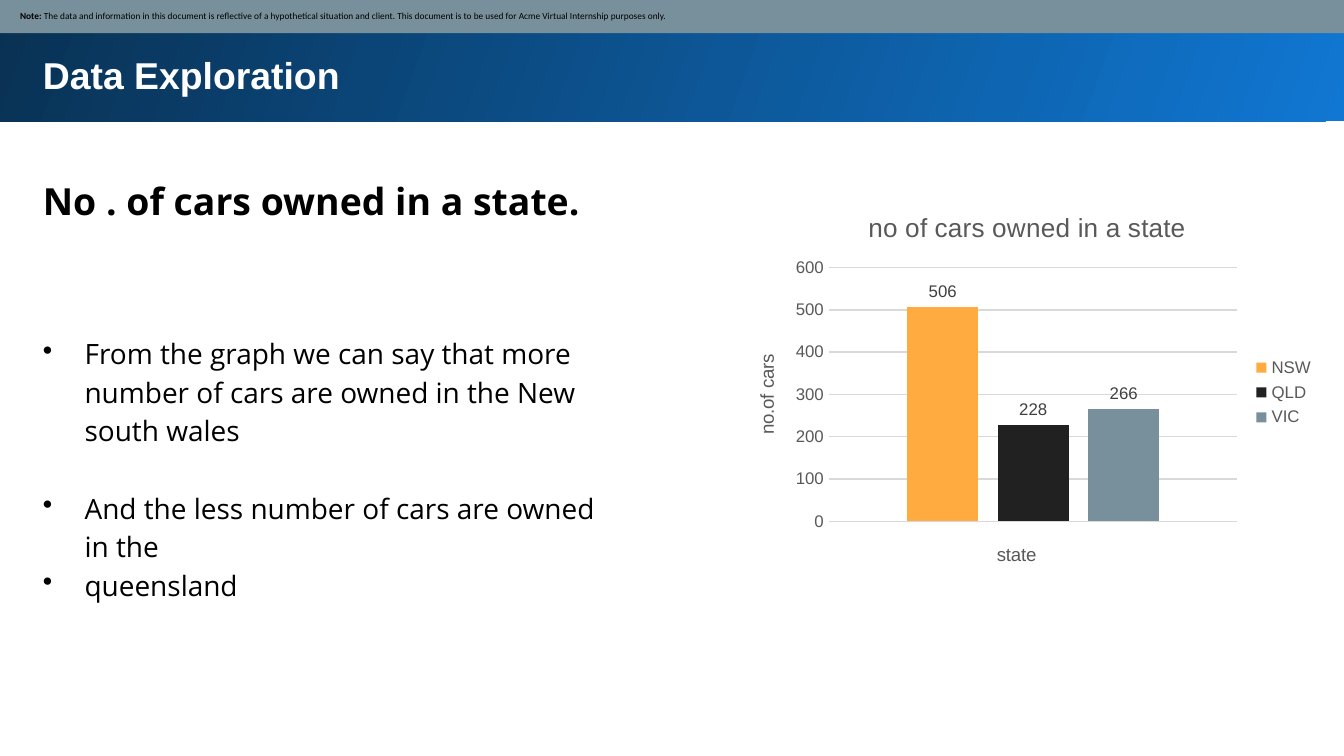
"""Build the data exploration slide with a chart of cars owned per state."""
from lxml import etree
from pptx import Presentation
from pptx.chart.data import CategoryChartData
from pptx.dml.color import RGBColor
from pptx.enum.chart import XL_CHART_TYPE, XL_LABEL_POSITION, XL_LEGEND_POSITION, XL_TICK_MARK
from pptx.enum.shapes import MSO_SHAPE
from pptx.enum.text import MSO_ANCHOR, PP_ALIGN
from pptx.oxml import parse_xml
from pptx.oxml.ns import qn
from pptx.util import Cm, Pt

RECT = MSO_SHAPE.RECTANGLE
COLUMN = XL_CHART_TYPE.COLUMN_CLUSTERED
OUTSIDE = XL_LABEL_POSITION.OUTSIDE_END
RIGHT = XL_LEGEND_POSITION.RIGHT
NO_TICK = XL_TICK_MARK.NONE
TOP, MIDDLE = MSO_ANCHOR.TOP, MSO_ANCHOR.MIDDLE
LEFT = PP_ALIGN.LEFT

WHITE = RGBColor(0xFF, 0xFF, 0xFF)
BLACK = RGBColor(0x00, 0x00, 0x00)
BLUE = RGBColor(0x10, 0x77, 0xD2)
NAVY = RGBColor(0x09, 0x31, 0x53)
SLATE = RGBColor(0x78, 0x90, 0x9C)
ORANGE = RGBColor(0xFF, 0xAB, 0x40)
COAL = RGBColor(0x21, 0x21, 0x21)
GRAY = RGBColor(0x59, 0x59, 0x59)
DARK = RGBColor(0x40, 0x40, 0x40)
PALE = RGBColor(0xD9, 0xD9, 0xD9)


def style(font, size, color, face="Arial", bold=False):
    font.size, font.name, font.bold = Pt(size), face, bold
    font.color.rgb = color


def write(frame, lines, size, color=BLACK, face="Open Sans", bold=False,
          anchor=TOP, inset=0.25, left=0.25, spacing=1.0, bullet=False, gaps=()):
    frame.word_wrap = True
    frame.vertical_anchor = anchor
    frame.margin_left = Cm(left)
    frame.margin_top = frame.margin_right = frame.margin_bottom = Cm(inset)
    for i, line in enumerate(lines):
        para = frame.paragraphs[0] if i == 0 else frame.add_paragraph()
        para.alignment = LEFT
        para.line_spacing = spacing
        para.space_before = Pt(gaps[i] if gaps else 0)
        for text, heavy in line if isinstance(line, list) else [(line, bold)]:
            run = para.add_run()
            run.text = text
            style(run.font, size, color, face, heavy)
        if bullet:
            props = para._p.get_or_add_pPr()
            props.set("marL", str(Cm(0.79)))
            props.set("indent", str(-Cm(0.79)))
            etree.SubElement(props, qn("a:buChar")).set("char", "•")


deck = Presentation()
deck.slide_width, deck.slide_height = Cm(25.4), Cm(14.29)
slide = deck.slides.add_slide(deck.slide_layouts[5])
shapes = slide.shapes

band = shapes.add_shape(RECT, Cm(-0.05), Cm(-0.05), Cm(25.53), Cm(2.34))
band.shadow.inherit = False
band.line.fill.background()
band.fill.gradient()
band.fill.gradient_angle = 160
for stop, color in zip(band.fill.gradient_stops, (BLUE, NAVY)):
    stop.color.rgb = color

title = shapes.title
title.element.addprevious(band.element)
title.left, title.top, title.width, title.height = Cm(0.56), Cm(0.74), Cm(23.8), Cm(1.3)
write(title.text_frame, ["Data Exploration"], 20, WHITE, "Arial", bold=True)

head = shapes.add_textbox(Cm(0.56), Cm(3), Cm(23.8), Cm(1.42))
write(head.text_frame, ["No . of cars owned in a state."], 20, bold=True, spacing=1.15)

body = shapes.add_textbox(Cm(0.56), Cm(6.02), Cm(11.48), Cm(5.61))
points = [
    "From the graph we can say that more number of cars are owned in the New south wales",
    "And the less number of cars are owned in the",
    "queensland",
]
write(body.text_frame, points, 15, spacing=1.15, bullet=True, gaps=(0, 20.7, 0))

strip = shapes.add_shape(RECT, Cm(-0.03), Cm(-0.03), Cm(25.48), Cm(0.66))
strip.shadow.inherit = False
strip.line.fill.background()
strip.fill.solid()
strip.fill.fore_color.rgb = SLATE
note = [
    ("Note: ", True),
    ("The data and information in this document is reflective of a hypothetical situation "
     "and client. This document is to be used for Acme Virtual Internship purposes only.", False),
]
write(strip.text_frame, [note], 5, face="Calibri", anchor=MIDDLE, inset=0.13, left=0.41)

states = [("NSW", 506, ORANGE), ("QLD", 228, COAL), ("VIC", 266, SLATE)]
data = CategoryChartData()
data.categories = ["1"]
for name, count, _ in states:
    data.add_series(name, [count])
chart = shapes.add_chart(COLUMN, Cm(13.74), Cm(3.61), Cm(11.35), Cm(7.62), data).chart
style(chart.font, 10, BLACK)

cars, state = chart.value_axis, chart.category_axis
for owner, text, size in ((chart, "no of cars owned in a state", 14),
                          (cars, "no.of cars", 10), (state, "state", 10)):
    owner.has_title = True
    part = owner.chart_title if owner is chart else owner.axis_title
    part.text_frame.text = text
    style(part.text_frame.paragraphs[0].runs[0].font, size, GRAY)

state.visible = False
cars.minimum_scale, cars.maximum_scale, cars.major_unit = 0, 600, 100
cars.major_tick_mark = cars.minor_tick_mark = NO_TICK
cars.format.line.fill.background()
cars.major_gridlines.format.line.color.rgb = PALE
cars.major_gridlines.format.line.width = Pt(0.75)
style(cars.tick_labels.font, 9, GRAY)

chart.has_legend = True
chart.legend.position = RIGHT
chart.legend.include_in_layout = False
style(chart.legend.font, 9, GRAY)

plot = chart.plots[0]
plot.vary_by_categories = False
plot.gap_width, plot.overlap = 219, -27
for series, (_, _, color) in zip(plot.series, states):
    series.format.fill.solid()
    series.format.fill.fore_color.rgb = color
    labels = series.data_labels
    labels.show_value = True
    labels.position = OUTSIDE
    style(labels.font, 9, DARK)

area = chart._chartSpace.chart.plotArea
for old in area.findall(qn("c:layout")):
    area.remove(old)
rules = [("layoutTarget", "inner"), ("xMode", "edge"), ("yMode", "edge"),
         ("x", 0.17), ("y", 0.19), ("w", 0.68), ("h", 0.63)]
inner = "".join(f'<c:{key} val="{val}"/>' for key, val in rules)
space = "http://schemas.openxmlformats.org/drawingml/2006/chart"
area.insert(0, parse_xml(
    f'<c:layout xmlns:c="{space}"><c:manualLayout>{inner}</c:manualLayout></c:layout>'))

deck.save("out.pptx")
